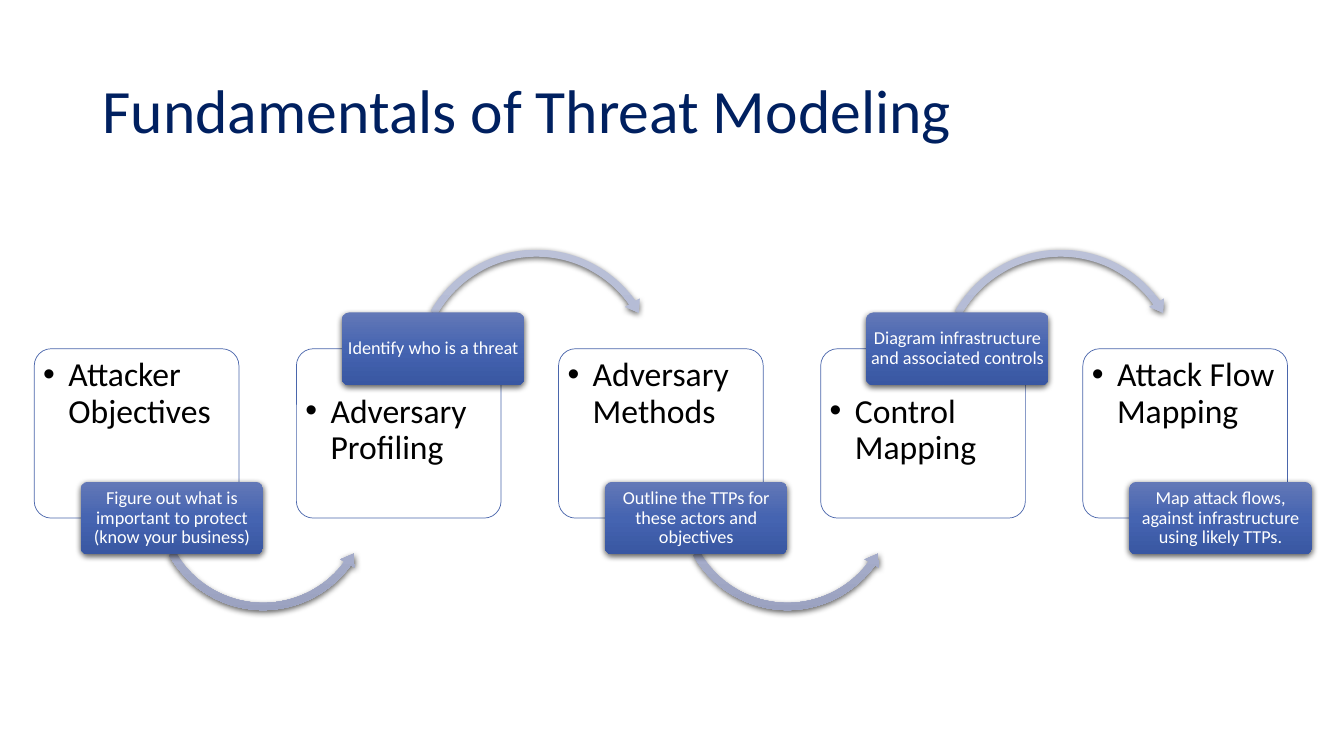
from copy import deepcopy
from dataclasses import dataclass

from lxml import etree
from pptx import Presentation
from pptx.dml.color import RGBColor
from pptx.enum import shapes, text
from pptx.oxml import ns
from pptx.util import Inches, Pt

FONT = "Calibri"
COLORS = {"title": "002060", "card": "FFFFFF", "edge": "4A66AC",
          "body": "000000", "note": "FFFFFF", "shade": "000000"}
BADGE = ["6378B7", "4564B1", "3957A2"]
ARROW = ["BBC1D8", "B0B7D4", "9AA1BF"]
LEFT, PITCH = 0.34, 2.6
KIND = shapes.MSO_SHAPE


@dataclass
class Step:
    name: str
    note: str


@dataclass
class Side:
    """Offsets from the card's left edge, and tops, of a step's parts."""
    pad: float
    badge: tuple[float, float]
    arrow: tuple[float, float]
    size: float
    kind: int
    bend: list[float]


STEPS = [
    Step("Attacker Objectives",
         "Figure out what is important to protect (know your business)"),
    Step("Adversary Profiling", "Identify who is a threat"),
    Step("Adversary Methods",
         "Outline the TTPs for these actors and objectives"),
    Step("Control Mapping", "Diagram infrastructure and associated controls"),
    Step("Attack Flow Mapping",
         "Map attack flows, against infrastructure using likely TTPs."),
]
LOW = Side(0.04, (0.46, 4.78), (1.15, 3.86), 2.24, KIND.LEFT_CIRCULAR_ARROW,
           [0.032, 3.891, 21.646, 90.245, 0.037])
HIGH = Side(0.4, (0.45, 3.1), (1.13, 2.43), 2.5, KIND.CIRCULAR_ARROW,
            [0.028, 3.461, 194.784, 125.755, 0.033])


def rgb(key: str) -> RGBColor:
    return RGBColor.from_string(COLORS[key])


def add(parent, tag: str, **attrs):
    """Append a drawing element to parent."""
    return etree.SubElement(parent, ns.qn("a:" + tag), attrs)


def write(shape, words: str, size: int, color: str, pads: list[float]):
    """Fill a shape with one paragraph; pads are left, top, right, bottom."""
    frame = shape.text_frame
    frame.word_wrap = True
    frame.margin_left, frame.margin_top, frame.margin_right, \
        frame.margin_bottom = map(Inches, pads)
    frame.text = words
    para = frame.paragraphs[0]
    para.line_spacing = 0.9
    font = para.runs[0].font
    font.name, font.size = FONT, Pt(size)
    font.color.rgb = rgb(color)
    return frame


def place(slide, kind: int, left: float, top: float, wide: float,
          high: float, bend: list[float]):
    shape = slide.shapes.add_shape(kind, *map(Inches, (left, top, wide, high)))
    shape.shadow.inherit = False
    for i, value in enumerate(bend):
        shape.adjustments[i] = value
    return shape


def gloss(shape, tones: list[str]) -> None:
    """Give a shape a downward gradient, no line and a soft shadow."""
    fill = shape.fill
    fill.gradient()
    fill.gradient_angle = 270
    stops = shape._element.spPr.find(ns.qn("a:gradFill")).find(ns.qn("a:gsLst"))
    stops.append(deepcopy(stops[-1]))
    for i, (stop, tone) in enumerate(zip(fill.gradient_stops, tones)):
        stop.position = i / 2
        stop.color.rgb = RGBColor.from_string(tone)
    shape.line.fill.background()
    effects = shape._element.spPr.find(ns.qn("a:effectLst"))
    shade = add(effects, "outerShdw", blurRad=str(Pt(4.5)), dist=str(Pt(1.5)),
                dir="5400000", algn="ctr", rotWithShape="0")
    add(add(shade, "srgbClr", val=COLORS["shade"]), "alpha", val="63000")


def card(slide, left: float, step: Step, side: Side) -> None:
    box = place(slide, KIND.ROUNDED_RECTANGLE, left, 3.46, 2.03, 1.68, [0.1])
    box.fill.solid()
    box.fill.fore_color.rgb = rgb("card")
    tint = box._element.spPr.find(ns.qn("a:solidFill"))[0]
    add(tint, "alpha", val="90000")
    box.line.color.rgb = rgb("edge")
    box.line.width = Pt(0.5)
    frame = write(box, step.name, 24, "body", [0.04, side.pad, 0.03, 0])
    frame.vertical_anchor = text.MSO_ANCHOR.TOP
    para = frame.paragraphs[0]
    para.alignment = text.PP_ALIGN.LEFT
    props = para._p.get_or_add_pPr()
    props.set("marL", str(Inches(0.25)))
    props.set("indent", str(-Inches(0.25)))
    add(props, "buFont", typeface="Arial")
    add(props, "buChar", char="•")


def badge(slide, left: float, step: Step, side: Side) -> None:
    dx, top = side.badge
    box = place(slide, KIND.ROUNDED_RECTANGLE, left + dx, top, 1.81, 0.72, [0.1])
    gloss(box, BADGE)
    frame = write(box, step.note, 13, "note", [0.02] * 4)
    frame.vertical_anchor = text.MSO_ANCHOR.MIDDLE
    frame.paragraphs[0].alignment = text.PP_ALIGN.CENTER


def arrow(slide, left: float, side: Side) -> None:
    dx, top = side.arrow
    gloss(place(slide, side.kind, left + dx, top, side.size, side.size,
                side.bend), ARROW)


def main() -> None:
    deck = Presentation()
    deck.slide_width, deck.slide_height = Inches(13.33), Inches(7.5)
    slide = deck.slides.add_slide(deck.slide_layouts[6])
    title = slide.shapes.add_textbox(*map(Inches, (0.92, 0.4, 11.5, 1.45)))
    frame = write(title, "Fundamentals of Threat Modeling", 44, "title",
                  [0.1, 0.05, 0.1, 0.05])
    frame.vertical_anchor = text.MSO_ANCHOR.MIDDLE
    for i, step in enumerate(STEPS):
        left = LEFT + i * PITCH
        side = HIGH if i % 2 else LOW
        card(slide, left, step, side)
        if i < len(STEPS) - 1:
            arrow(slide, left, side)
        badge(slide, left, step, side)
    deck.save("out.pptx")


if __name__ == "__main__":
    main()
